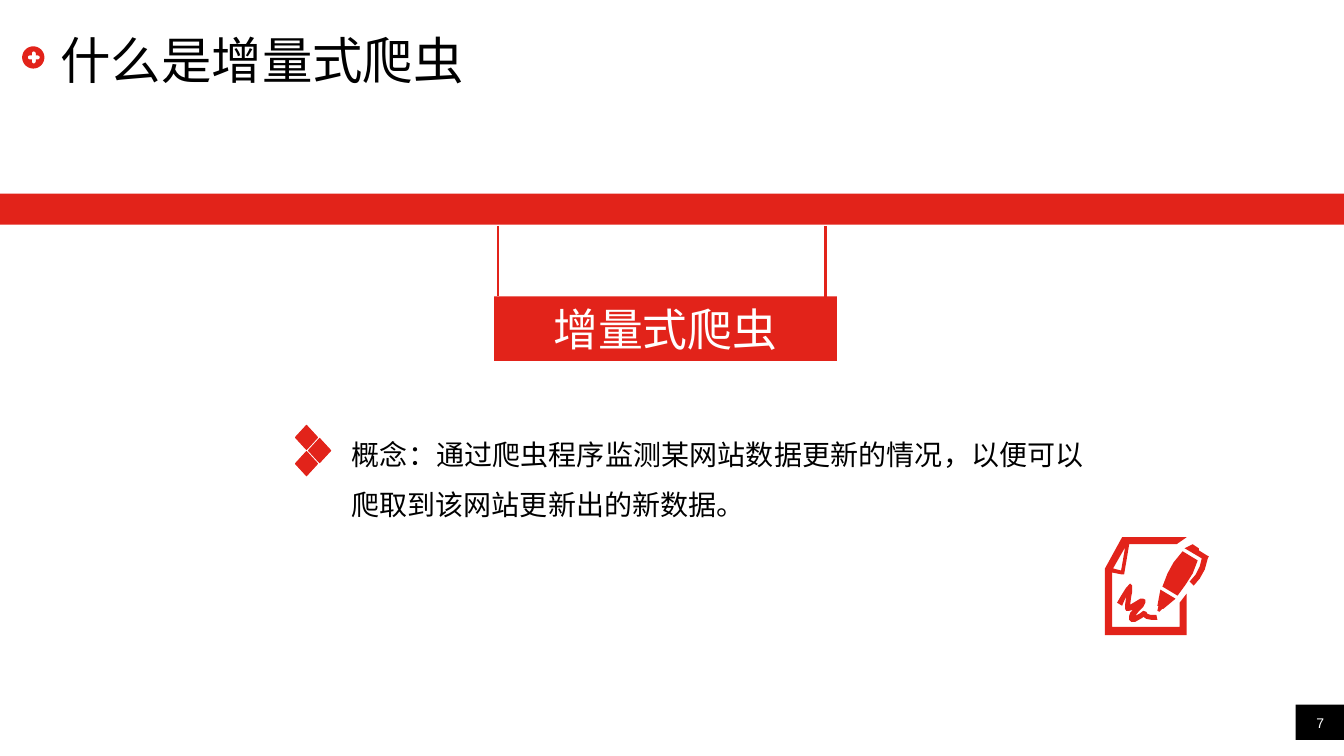
from dataclasses import dataclass
from math import cos, radians, sin

from lxml import etree
from pptx import Presentation
from pptx.dml.color import RGBColor
from pptx.enum.shapes import MSO_CONNECTOR, MSO_SHAPE
from pptx.enum.text import MSO_ANCHOR as Anchor
from pptx.enum.text import MSO_AUTO_SIZE as AutoSize
from pptx.enum.text import PP_ALIGN as Align
from pptx.oxml.ns import qn
from pptx.util import Inches, Pt

RED = RGBColor(0xE2, 0x23, 0x1A)
BLACK = RGBColor(0, 0, 0)
WHITE = RGBColor(255, 255, 255)
LATIN, CJK = "Arial", "Noto Sans CJK SC"

Area = tuple[float, float, float, float]
Contour = list[tuple[float, float]]


@dataclass(frozen=True)
class Label:
    text: str
    size: int
    font: str
    color: RGBColor
    align: Align = Align.LEFT
    anchor: Anchor = Anchor.TOP
    spacing: float = 1.0
    inset: tuple[float, float] = (0.1, 0.05)
    grow: bool = False


@dataclass(frozen=True)
class Icon:
    contours: list[Contour]
    outline: float = 0


def write(box, label: Label) -> None:
    side, end = map(Inches, label.inset)
    frame_format = {
        "word_wrap": True,
        "vertical_anchor": label.anchor,
        "auto_size": AutoSize.SHAPE_TO_FIT_TEXT if label.grow else AutoSize.NONE,
        "margin_left": side, "margin_right": side,
        "margin_top": end, "margin_bottom": end,
    }
    for name, value in frame_format.items():
        setattr(box.text_frame, name, value)
    para = box.text_frame.paragraphs[0]
    para.alignment, para.line_spacing = label.align, label.spacing
    span = para.add_run()
    span.text = label.text
    for name, value in {"size": Pt(label.size), "name": label.font}.items():
        setattr(span.font, name, value)
    span.font.color.rgb = label.color
    east_asian = etree.SubElement(span.font._element, qn("a:ea"))
    east_asian.set("typeface", CJK)


def add_text(page, area: Area, label: Label) -> None:
    write(page.shapes.add_textbox(*map(Inches, area)), label)


def paint(shape, color: RGBColor, outline: float = 0) -> None:
    shape.shadow.inherit = False
    shape.fill.solid()
    shape.fill.fore_color.rgb = color
    if outline:
        shape.line.color.rgb = color
        shape.line.width = Pt(outline)
    else:
        shape.line.fill.background()


def add_bar(page, area: Area, color: RGBColor, label: Label | None = None) -> None:
    bar = page.shapes.add_shape(MSO_SHAPE.RECTANGLE, *map(Inches, area))
    paint(bar, color)
    if label:
        write(bar, label)


def add_icon(page, icon: Icon) -> None:
    """Draw all contours as one outline, so that inner ones become holes."""
    first, *others = [[(Inches(x), Inches(y)) for x, y in contour]
                      for contour in icon.contours]
    builder = page.shapes.build_freeform(*first[0])
    builder.add_line_segments(first[1:], close=True)
    for contour in others:
        builder.move_to(*contour[0])
        builder.add_line_segments(contour[1:], close=True)
    paint(builder.convert_to_shape(), RED, icon.outline)


def add_hanger(page, x: float, top: float, bottom: float) -> None:
    hanger = page.shapes.add_connector(
        MSO_CONNECTOR.STRAIGHT, *map(Inches, (x, top, x, bottom)))
    hanger.line.color.rgb = RED
    hanger.line.width = Pt(2)
    etree.SubElement(hanger._element.spPr, qn("a:effectLst"))


def arc(x: float, y: float, radius: float, start: int = 0, sweep: int = 360,
        step: int = 6) -> Contour:
    return [(x + radius * cos(radians(angle)), y + radius * sin(radians(angle)))
            for angle in range(start, start + sweep, step)]


def rounded_plus(x: float, y: float, reach: float, half: float) -> Contour:
    """Four arms with round ends, joined at square inner corners."""
    points: Contour = []
    for turn in range(0, 360, 90):
        tip = reach - half
        points += arc(x + tip * cos(radians(turn)), y + tip * sin(radians(turn)),
                      half, turn - 90, 181, 30)
        corner = radians(turn + 45)
        points.append((x + half * 2 ** 0.5 * cos(corner),
                       y + half * 2 ** 0.5 * sin(corner)))
    return points


def diamond(x: float, y: float) -> Contour:
    return [(x, y - 0.12), (x + 0.11, y), (x, y + 0.12), (x - 0.11, y)]


BADGE = Icon([arc(0.33, 0.57, 0.11), rounded_plus(0.335, 0.57, 0.06, 0.02)])
DIAMONDS = Icon([diamond(3.04, 4.6), diamond(3.17, 4.47), diamond(3.04, 4.34)], 0.75)

SHEET = [(11.13, 5.33), (11.77, 5.33), (11.67, 5.4), (11.2, 5.4), (11.15, 5.7),
         (11.13, 5.7), (11.03, 5.68), (11.03, 6.22), (11.7, 6.22), (11.7, 5.98),
         (11.77, 5.89), (11.77, 6.3), (10.96, 6.3), (10.96, 5.64)]
SCRIBBLE = [(11.08, 5.98), (11.13, 6.01), (11.16, 5.94), (11.17, 5.92), (11.16, 6),
            (11.16, 6.04), (11.17, 6.06), (11.2, 6.06), (11.24, 6.05), (11.21, 6.08),
            (11.2, 6.11), (11.2, 6.15), (11.22, 6.17), (11.26, 6.17), (11.33, 6.13),
            (11.34, 6.12), (11.37, 6.14), (11.42, 6.15), (11.48, 6.15), (11.47, 6.1),
            (11.41, 6.1), (11.38, 6.09), (11.37, 6.07), (11.34, 6.06), (11.3, 6.09),
            (11.26, 6.11), (11.3, 6.06), (11.34, 6.02), (11.36, 5.98), (11.36, 5.95),
            (11.34, 5.94), (11.31, 5.94), (11.26, 5.97), (11.21, 6), (11.22, 5.92),
            (11.23, 5.87), (11.23, 5.81), (11.21, 5.79), (11.17, 5.83), (11.12, 5.91)]
FOLD = [(11.16, 5.43), (11.04, 5.64), (11.12, 5.66)]
NIB = [(11.51, 5.85), (11.48, 6.01), (11.49, 6.01), (11.48, 6.06), (11.5, 6.07),
       (11.53, 6.04), (11.54, 6.04), (11.66, 5.94)]
CLIP = [(11.89, 5.46), (11.89, 5.44), (11.83, 5.4), (11.75, 5.44), (11.92, 5.54),
        (11.9, 5.62), (11.86, 5.7), (11.8, 5.77), (11.84, 5.81), (11.9, 5.74),
        (11.95, 5.65), (11.98, 5.54), (11.99, 5.52), (11.97, 5.51)]
BARREL = [(11.73, 5.47), (11.64, 5.58), (11.58, 5.69), (11.53, 5.82), (11.68, 5.91),
          (11.76, 5.8), (11.83, 5.69), (11.88, 5.56)]
SIGNED_PAPER = Icon([SHEET, SCRIBBLE, FOLD, NIB, CLIP, BARREL])

TITLE = Label("什么是增量式爬虫", 36, LATIN, BLACK, anchor=Anchor.MIDDLE, inset=(0, 0))
PAGE_NUMBER = Label("7", 10, LATIN, WHITE, Align.CENTER, Anchor.BOTTOM, inset=(0, 0))
SIGN = Label("增量式爬虫", 32, CJK, WHITE, Align.CENTER, grow=True)
CONCEPT = Label("概念：通过爬虫程序监测某网站数据更新的情况，以便可以爬取到该网站更新出的新数据。",
                20, CJK, BLACK, Align.JUSTIFY, spacing=1.5)


def main() -> None:
    deck = Presentation()
    deck.slide_width, deck.slide_height = Inches(13.33), Inches(7.5)
    page = deck.slides.add_slide(deck.slide_layouts[6])

    add_bar(page, (12.85, 6.99, 0.48, 0.35), BLACK)
    add_text(page, (12.85, 6.99, 0.49, 0.27), PAGE_NUMBER)
    add_icon(page, BADGE)
    add_text(page, (0.6, 0.3, 12.11, 0.57), TITLE)

    add_text(page, (3.39, 4.12, 7.46, 2.88), CONCEPT)
    add_icon(page, DIAMONDS)

    add_bar(page, (0, 1.92, 13.33, 0.31), RED)
    add_bar(page, (4.9, 2.94, 3.4, 0.64), RED, SIGN)
    for x, bottom in ((4.94, 2.94), (8.19, 3.01)):
        add_hanger(page, x, 2.24, bottom)
    add_icon(page, SIGNED_PAPER)

    deck.save("out.pptx")


if __name__ == "__main__":
    main()
